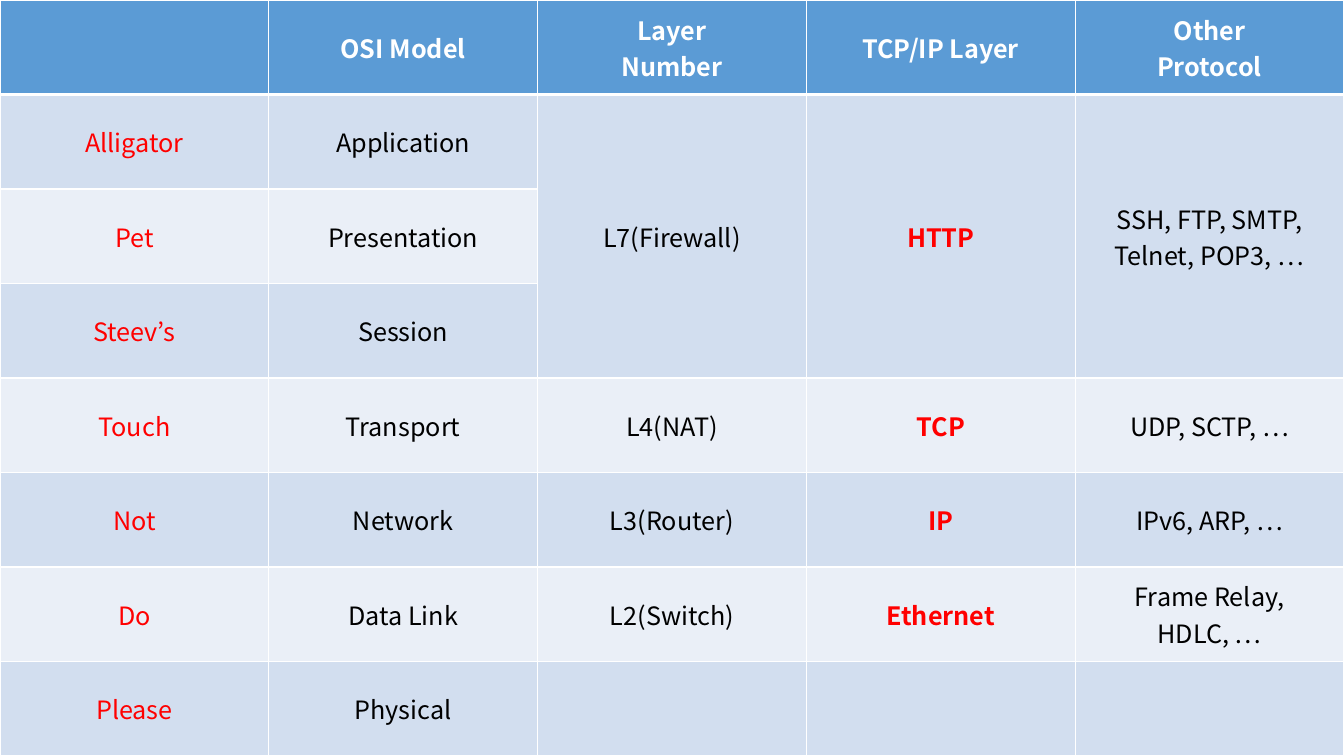
from lxml.etree import SubElement
from pptx import Presentation
from pptx.dml.color import RGBColor
from pptx.enum.text import MSO_ANCHOR, PP_ALIGN
from pptx.oxml.ns import qn
from pptx.util import Inches, Pt

WHITE = RGBColor(0xFF, 0xFF, 0xFF)
BLACK = RGBColor(0, 0, 0)
RED = RGBColor(0xFF, 0, 0)
BLUE = RGBColor(0x5B, 0x9B, 0xD5)
BANDS = RGBColor(0xD2, 0xDE, 0xEF), RGBColor(0xEA, 0xEF, 0xF7)

WIDTH, HEIGHT = 13.33, 7.5
LAYERS = [
    ["", "OSI Model", "Layer\nNumber", "TCP/IP Layer", "Other\nProtocol"],
    ["Alligator", "Application", "L7(Firewall)", "HTTP",
     "SSH, FTP, SMTP, Telnet, POP3, …"],
    ["Pet", "Presentation", "", "", ""],
    ["Steev’s", "Session", "", "", ""],
    ["Touch", "Transport", "L4(NAT)", "TCP", "UDP, SCTP, …"],
    ["Not", "Network", "L3(Router)", "IP", "IPv6, ARP, …"],
    ["Do", "Data Link", "L2(Switch)", "Ethernet", "Frame Relay,\nHDLC, …"],
    ["Please", "Physical", "", "", ""],
]
HEAD = {"color": WHITE, "bold": True}
PLAIN = {"color": BLACK, "bold": False}
MEMO = {"color": RED, "bold": False}
KEY = {"color": RED, "bold": True}
LOOKS = [MEMO, PLAIN, PLAIN, KEY, PLAIN]


class Deck:
    font = "Noto Sans CJK KR"
    size = 18

    def __init__(self, show):
        self.slide = show.slides.add_slide(show.slide_layouts[6])

    def table(self, rows):
        high, wide = len(rows), len(rows[0])
        grid = self.slide.shapes.add_table(
            high, wide, 0, 0, Inches(WIDTH), Inches(HEIGHT)).table
        for line in grid.rows:
            line.height = Inches(HEIGHT / high)
        for y, row in enumerate(rows):
            for x, text in enumerate(row):
                cell = grid.cell(y, x)
                self.edges(cell, 3 if y == 1 else 1, 3 if y == 0 else 1)
                cell.fill.solid()
                cell.fill.fore_color.rgb = BANDS[(y - 1) % 2] if y else BLUE
                cell.vertical_anchor = MSO_ANCHOR.MIDDLE
                if text:
                    self.text(cell.text_frame, text, LOOKS[x] if y else HEAD)
        return grid

    def edges(self, cell, top, bottom):
        props = cell._tc.get_or_add_tcPr()
        for side, width in zip("LRTB", (1, 1, top, bottom)):
            line = SubElement(props, qn("a:ln" + side), w=str(Pt(width)))
            fill = SubElement(line, qn("a:solidFill"))
            SubElement(fill, qn("a:srgbClr"), val=str(WHITE))

    def text(self, frame, text, look):
        frame.text = text
        for para in frame.paragraphs:
            para.alignment = PP_ALIGN.CENTER
            for run in para.runs:
                style = {"name": self.font, "size": Pt(self.size),
                         "bold": look["bold"]}
                for name, value in style.items():
                    setattr(run.font, name, value)
                run.font.color.rgb = look["color"]
                SubElement(run._r.get_or_add_rPr(), qn("a:ea"),
                           typeface=self.font)


def main():
    show = Presentation()
    show.slide_width, show.slide_height = Inches(WIDTH), Inches(HEIGHT)
    grid = Deck(show).table(LAYERS)
    for x in range(2, 5):
        grid.cell(1, x).merge(grid.cell(3, x))
    show.save("out.pptx")


if __name__ == "__main__":
    main()
